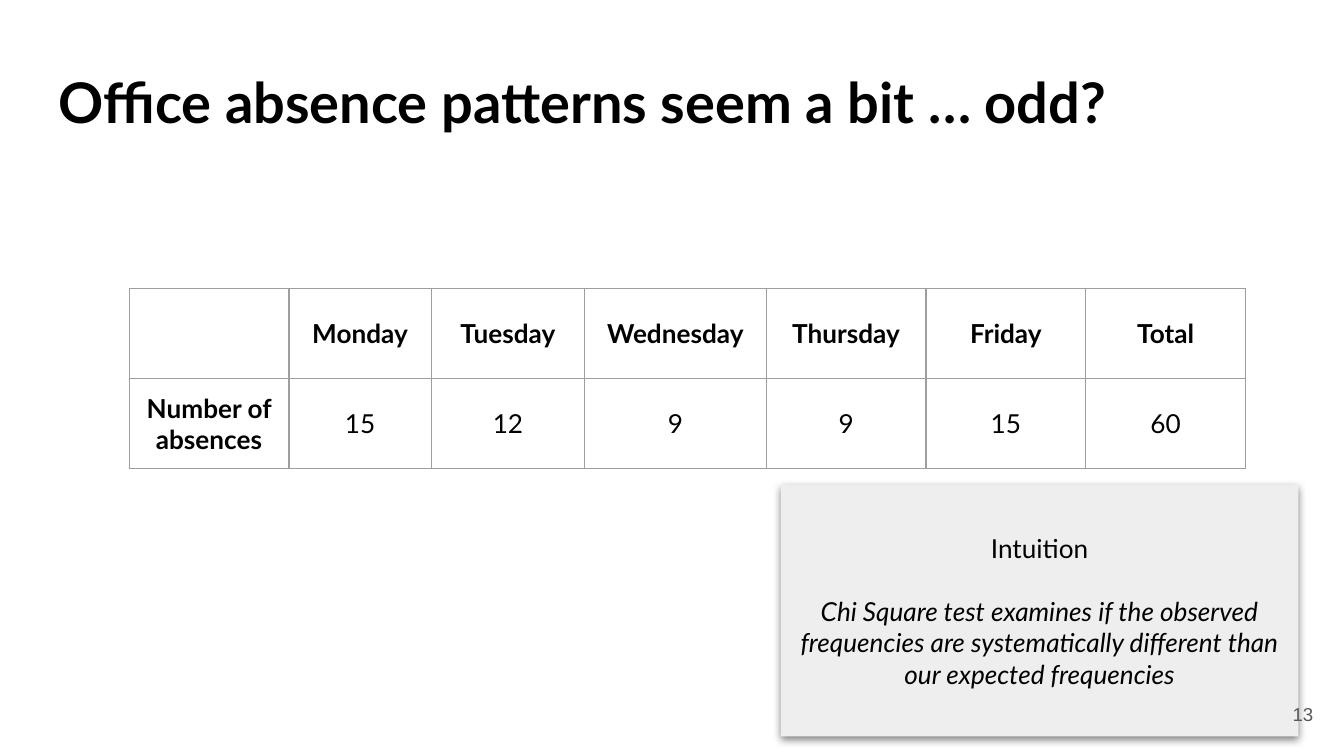
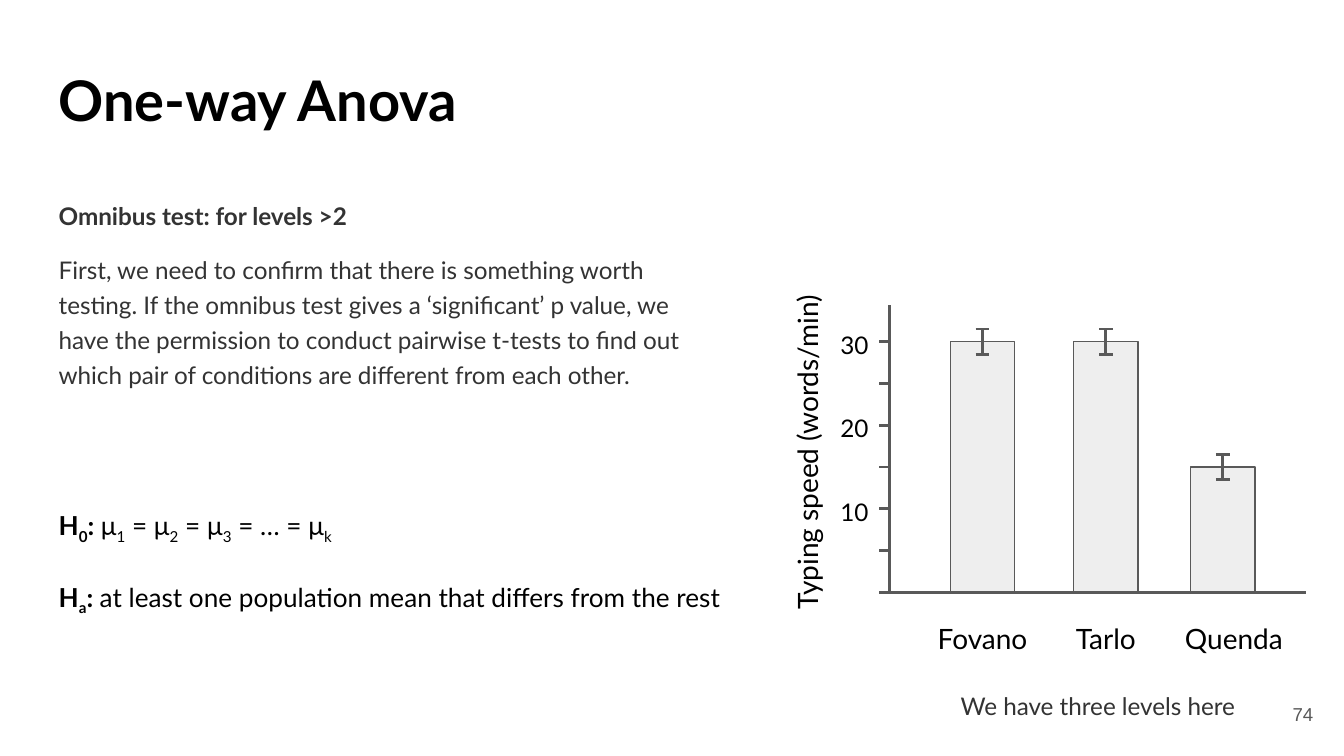
"""Build two statistics slides: an absence table and a one-way Anova bar plot."""
from dataclasses import dataclass

from lxml.etree import SubElement
from pptx import Presentation
from pptx.dml.color import RGBColor
from pptx.enum.shapes import MSO_CONNECTOR, MSO_SHAPE
from pptx.enum.text import MSO_ANCHOR, PP_ALIGN
from pptx.oxml import parse_xml
from pptx.oxml.ns import nsdecls, qn
from pptx.util import Cm, Pt


@dataclass(frozen=True)
class Theme:
    font: str = "Lato"
    plain: str = "Arial"
    ink: str = "000000"
    soft: str = "333333"
    line: str = "595959"
    fill: str = "EEEEEE"
    grid: str = "9E9E9E"
    head: int = 30
    label: int = 15
    main: int = 14
    small: int = 13
    tiny: int = 10
    thick: float = 1.5
    thin: float = 0.75
    inset: float = 0.25


LOOK = Theme()
LEFT, MID, RIGHT = PP_ALIGN.LEFT, PP_ALIGN.CENTER, PP_ALIGN.RIGHT

DAYS = ["", "Monday", "Tuesday", "Wednesday", "Thursday", "Friday", "Total"]
COUNTS = ["Number of absences", "15", "12", "9", "9", "15", "60"]
WIDTHS = [3.02, 2.69, 2.9, 3.43, 3.02, 3.02, 3.02]
ROW = 1.7

HINT = [
    [("Intuition", "")],
    [("Chi Square test examines if the observed frequencies are "
      "systematically different than our expected frequencies", "i")],
]
OMNI = [
    [("Omnibus test: for levels >2", "b")],
    [("First, we need to confirm that there is something worth testing. "
      "If the omnibus test gives a ‘significant’ p value, we have the "
      "permission to conduct pairwise t-tests to find out which pair of "
      "conditions are different from each other.", "")],
]
CLAIMS = [
    [("H", "b"), ("0", "bs"), (": ", "b"), ("μ", ""), ("1", "s"),
     (" = μ", ""), ("2", "s"), (" = μ", ""), ("3", "s"),
     (" = … = μ", ""), ("k", "s")],
    [("H", "b"), ("a", "bs"), (": ", "b"),
     ("at least one population mean that differs from the rest", "")],
]

BARS = [("Fovano", 30, 18.57, 18.57), ("Tarlo", 30, 20.9, 20.9),
        ("Quenda", 15, 23.11, 23.32)]
AXIS_X, AXIS_Y, AXIS_TOP, AXIS_END = 16.81, 11.2, 5.77, 24.69
STEP, UNIT, TOP = 0.79, 5, 30
TICK, BAR, ERR, CAP = 0.2, 1.22, 0.24, 0.13


def color(code):
    return RGBColor.from_string(code)


def write(frame, paras, size, tint=LOOK.ink, align=LEFT, font=LOOK.font,
          anchor=MSO_ANCHOR.TOP, space=None, after=None):
    frame.word_wrap = True
    frame.vertical_anchor = anchor
    frame.margin_left = frame.margin_right = Cm(LOOK.inset)
    frame.margin_top = frame.margin_bottom = Cm(LOOK.inset)
    for i, runs in enumerate(paras):
        para = frame.add_paragraph() if i else frame.paragraphs[0]
        para.alignment = align
        if space:
            para.line_spacing = space
        if after:
            para.space_after = Pt(after)
        for text, style in runs:
            run = para.add_run()
            run.text = text
            run.font.name, run.font.size = font, Pt(size)
            run.font.color.rgb = color(tint)
            run.font.bold, run.font.italic = "b" in style, "i" in style
            if "s" in style:
                run._r.get_or_add_rPr().set("baseline", "-25000")


def add_text(slide, box, paras, size, **style):
    shape = slide.shapes.add_textbox(*map(Cm, box))
    write(shape.text_frame, paras, size, **style)
    return shape


def add_line(shapes, x1, y1, x2, y2):
    line = shapes.add_connector(MSO_CONNECTOR.STRAIGHT, *map(Cm, (x1, y1, x2, y2)))
    line.line.color.rgb = color(LOOK.line)
    line.line.width = Pt(LOOK.thick)
    SubElement(line._element.spPr, qn("a:effectLst"))


def add_box(slide, box):
    shape = slide.shapes.add_shape(MSO_SHAPE.RECTANGLE, *map(Cm, box))
    shape.shadow.inherit = False
    shape.fill.solid()
    shape.fill.fore_color.rgb = color(LOOK.fill)
    return shape


def start(deck, title, top, page, space=None):
    slide = deck.slides.add_slide(deck.slide_layouts[6])
    add_text(slide, (0.86, top, 23.67, 1.6), [[(title, "b")]], LOOK.head, space=space)
    return slide, page


def add_page(slide, page):
    add_text(slide, (23.55, 12.95, 1.52, 1.09), [[(page, "")]], LOOK.tiny,
             tint=LOOK.line, align=RIGHT, font=LOOK.plain, anchor=MSO_ANCHOR.MIDDLE)


def edge(cell):
    props = cell._tc.get_or_add_tcPr()
    for i, side in enumerate("LRTB"):
        props.insert(i, parse_xml(
            f'<a:ln{side} {nsdecls("a")} w="{Pt(LOOK.thin)}"><a:solidFill>'
            f'<a:srgbClr val="{LOOK.grid}"/></a:solidFill></a:ln{side}>'))


def add_grid(slide):
    rows = [DAYS, COUNTS]
    table = slide.shapes.add_table(
        len(rows), len(DAYS), Cm(2.44), Cm(5.46),
        Cm(sum(WIDTHS)), Cm(ROW * len(rows))).table
    table.first_row = table.horz_banding = False
    for col, width in zip(table.columns, WIDTHS):
        col.width = Cm(width)
    for r, texts in enumerate(rows):
        table.rows[r].height = Cm(ROW)
        for c, text in enumerate(texts):
            cell = table.cell(r, c)
            cell.fill.background()
            edge(cell)
            cell.vertical_anchor = MSO_ANCHOR.MIDDLE
            cell.margin_left = cell.margin_right = Cm(LOOK.inset)
            cell.margin_top = cell.margin_bottom = Cm(LOOK.inset)
            if text:
                style = "b" if r == 0 or c == 0 else ""
                write(cell.text_frame, [[(text, style)]], LOOK.main, align=MID)


def add_hint(slide):
    card = add_box(slide, (14.76, 9.17, 9.78, 4.75))
    card.line.fill.background()
    glow = card._element.spPr.find(qn("a:effectLst"))
    glow.append(parse_xml(
        f'<a:outerShdw {nsdecls("a")} blurRad="{Pt(4.5)}" dist="{Pt(1.5)}" '
        'dir="5400000" algn="bl" rotWithShape="0"><a:srgbClr val="000000">'
        '<a:alpha val="50000"/></a:srgbClr></a:outerShdw>'))
    write(card.text_frame, HINT, LOOK.main, align=MID, anchor=MSO_ANCHOR.MIDDLE)
    card.text_frame.paragraphs[1].space_before = Pt(17)


def level(value):
    return AXIS_Y - value / UNIT * STEP


def add_plot(slide):
    loose = dict(align=MID, space=1.2, after=10)
    for name, value, mid, spot in BARS:
        y = level(value)
        bar = add_box(slide, (mid - BAR / 2, y, BAR, AXIS_Y - y))
        bar.line.color.rgb = color(LOOK.line)
        bar.line.width = Pt(LOOK.thin)
        group = slide.shapes.add_group_shape().shapes
        add_line(group, mid, y - ERR, mid, y + ERR)
        for end in (y - ERR, y + ERR):
            add_line(group, mid - CAP, end, mid + CAP, end)
        add_text(slide, (spot - 1.22, 11.38, 2.44, 1.14), [[(name, "")]],
                 LOOK.label, **loose)
    add_line(slide.shapes, AXIS_X, AXIS_TOP, AXIS_X, AXIS_Y)
    add_line(slide.shapes, AXIS_X, AXIS_Y, AXIS_END, AXIS_Y)
    for value in range(0, TOP + 1, UNIT):
        y = level(value)
        add_line(slide.shapes, AXIS_X, y, AXIS_X - TICK, y)
        if value and value % 10 == 0:
            add_text(slide, (15.21, y - 0.5, 1.45, 1), [[(str(value), "")]],
                     LOOK.small, align=RIGHT, anchor=MSO_ANCHOR.MIDDLE,
                     space=1.2, after=10)
    name = add_text(slide, (11.76, 7.98, 6.73, 1.14),
                    [[("Typing speed (words/min)", "")]], LOOK.label, **loose)
    name.rotation = 270
    add_text(slide, (AXIS_X, 12.7, 7.87, 1.07),
             [[("We have three levels here", "")]], LOOK.small,
             tint=LOOK.soft, **loose)


def main():
    deck = Presentation()
    deck.slide_width, deck.slide_height = Cm(25.4), Cm(14.29)

    slide, page = start(deck, "Office absence patterns seem a bit … odd?", 1.02, "13")
    add_grid(slide)
    add_hint(slide)
    add_page(slide, page)

    slide, page = start(deck, "One-way Anova", 1.24, "74", 0.8)
    body = add_text(slide, (0.86, 3.45, 12.7, 4.09), OMNI, LOOK.small,
                    tint=LOOK.soft, space=1.2)
    last = body.text_frame.paragraphs[1]
    last.space_before = last.space_after = Pt(10)
    add_text(slide, (0.86, 8.71, 13.21, 2.31), CLAIMS, LOOK.main, space=2.0)
    add_plot(slide)
    add_page(slide, page)

    deck.save("out.pptx")


if __name__ == "__main__":
    main()
